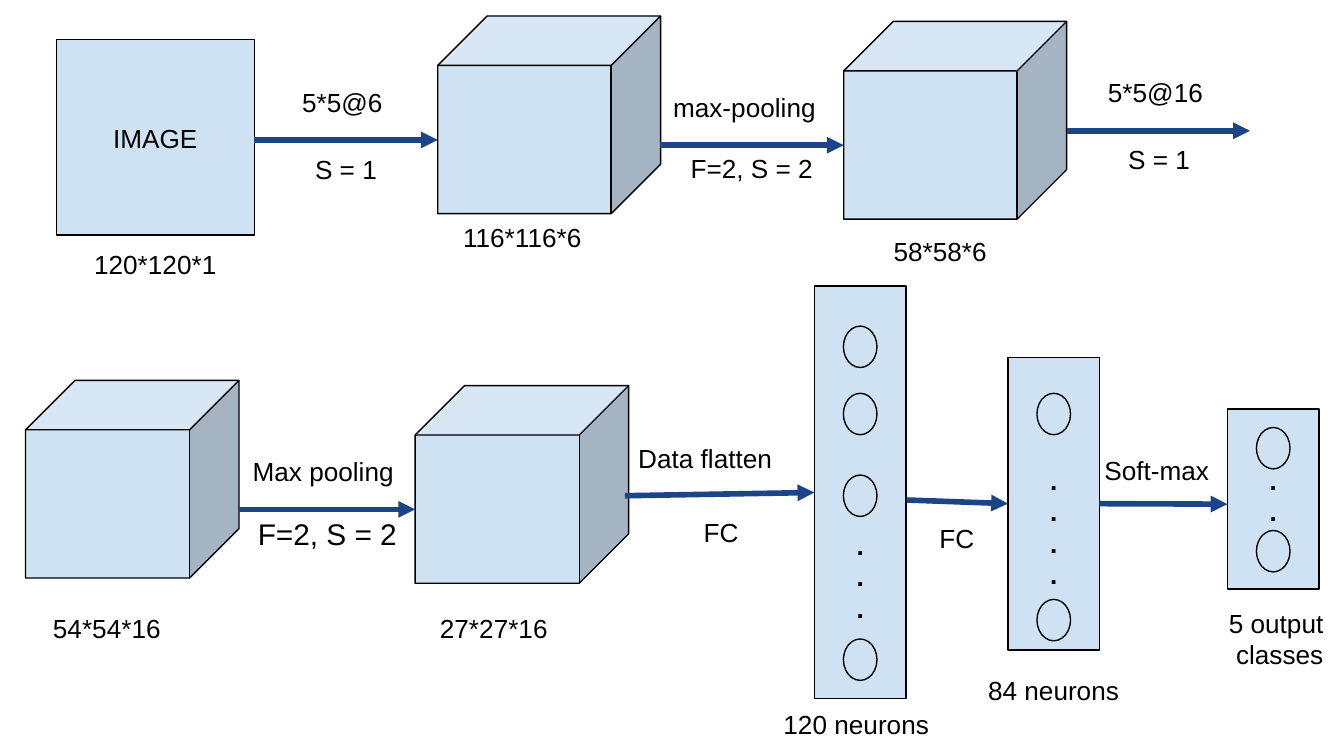
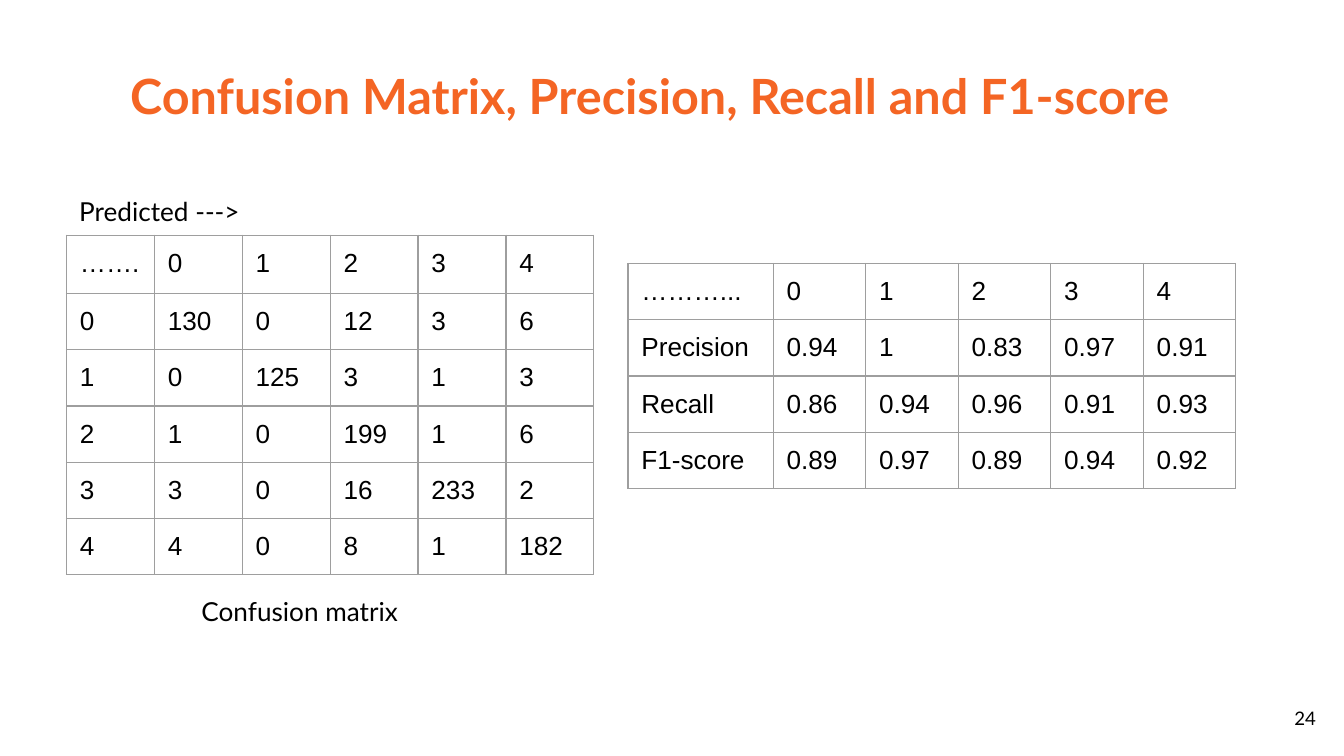
from dataclasses import dataclass

from lxml import etree
from pptx import Presentation
from pptx.dml.color import RGBColor
from pptx.enum import shapes, text
from pptx.oxml.ns import qn
from pptx.util import Pt


@dataclass(frozen=True)
class Theme:
    panel: str = "CFE2F3"
    arrow: str = "1C4587"
    ink: str = "000000"
    title: str = "F46524"
    border: str = "9E9E9E"
    body_font: str = "Arial"
    heading_font: str = "Lato"
    body_size: float = 14
    large_size: float = 16
    title_size: float = 26
    page_size: float = 10
    outline: float = 0.75
    arrow_width: float = 3
    inset: float = 7.2
    leading: float = 1.2


THEME = Theme()
LEFT, CENTER, RIGHT = text.PP_ALIGN.LEFT, text.PP_ALIGN.CENTER, text.PP_ALIGN.RIGHT

# Network: volumes as left, top, width
VOLUME_HEIGHT = 105.9
VOLUMES = [
    (234.5, 8.6, 119.4), (452, 11.5, 119.4),
    (13.7, 203.8, 114.4), (222.4, 206.6, 114.4),
]
INPUT_BOX = (30.2, 21.1, 106.1, 104.9)

# Layers: left, top, height, tops of the neurons, (top, height, count) of the dots
LAYER_WIDTH = 49
NEURON_WIDTH, NEURON_HEIGHT = 18, 22.2
LAYERS = {
    "hidden 120": (436.3, 153.3, 221.1, [174.7, 210.7, 254.5, 342.3], (276.4, 66, 3)),
    "hidden 84": (540, 191.4, 156.9, [210.7, 321.1], (241.6, 70.6, 4)),
    "output": (657.6, 219.2, 96.4, [229, 284.2], (241.4, 53.8, 2)),
}

# Arrows: start, end, layer joined at the start, layer joined at the end
ARROWS = [
    ((136.3, 75), (234.5, 75), None, None),
    ((353.8, 77.8), (452, 77.8), None, None),
    ((571.4, 70.1), (669.6, 70.1), None, None),
    ((128.1, 272.9), (222.4, 272.9), None, None),
    ((334.8, 265.6), (436.3, 263.85), None, "hidden 120"),
    ((486, 267.9), (540, 269.85), None, "hidden 84"),
    ((589, 269.85), (657.6, 270.1), "hidden 84", None),
]

# Labels: text, left, top, width, alignment, size
CAPTION_HEIGHT, OPERATION_HEIGHT = 33, 21
CAPTIONS = [
    ("IMAGE", 30.2, 58.4, 106, CENTER, THEME.body_size),
    ("120*120*1", 30.2, 126, 106, CENTER, THEME.body_size),
    ("116*116*6", 226.8, 111.6, 106, CENTER, THEME.body_size),
    ("58*58*6", 450.7, 118.8, 106, CENTER, THEME.body_size),
    ("54*54*16", 6.5, 321.1, 101.5, CENTER, THEME.body_size),
    ("27*27*16", 213.8, 321.1, 101.5, CENTER, THEME.body_size),
    ("120 neurons", 412.6, 372.2, 94.3, LEFT, THEME.body_size),
    ("84 neurons", 504.7, 354.2, 119.5, CENTER, THEME.body_size),
    ("5 output\n classes", 640.8, 318.2, 85.7, CENTER, THEME.body_size),
]
OPERATIONS = [
    ("5*5@6 ", 136.1, 38.9, 98.6, CENTER, THEME.body_size),
    ("S = 1", 136.1, 74.9, 98.6, CENTER, THEME.body_size),
    ("max-pooling", 353.5, 41.8, 98.6, LEFT, THEME.body_size),
    ("F=2, S = 2", 353.5, 74.2, 98.6, CENTER, THEME.body_size),
    ("5*5@16 ", 571.7, 33.8, 98.6, CENTER, THEME.body_size),
    ("S = 1", 571.7, 69.8, 98.6, CENTER, THEME.body_size),
    ("Max pooling", 128.2, 236.9, 94.3, LEFT, THEME.body_size),
    ("F=2, S = 2", 128.2, 269.3, 94.3, CENTER, THEME.large_size),
    ("Data flatten", 334.8, 229.7, 94.3, LEFT, THEME.body_size),
    ("FC", 339.1, 269.3, 94.3, CENTER, THEME.body_size),
    ("FC", 486.7, 272.9, 51.8, CENTER, THEME.body_size),
    ("Soft-max", 584.6, 236.2, 72, LEFT, THEME.body_size),
]

# Results
TITLE = "Confusion Matrix, Precision, Recall and F1-score"
CLASSES = ["0", "1", "2", "3", "4"]
CONFUSION = [
    ["…….", *CLASSES],
    ["0", "130", "0", "12", "3", "6"],
    ["1", "0", "125", "3", "1", "3"],
    ["2", "1", "0", "199", "1", "6"],
    ["3", "3", "0", "16", "233", "2"],
    ["4", "4", "0", "8", "1", "182"],
]
SCORES = [
    ["………...", *CLASSES],
    ["Precision", "0.94", "1", "0.83", "0.97", "0.91"],
    ["Recall", "0.86", "0.94", "0.96", "0.91", "0.93"],
    ["F1-score", "0.89", "0.97", "0.89", "0.94", "0.92"],
]
# Tables: rows, left, top, column widths, height of the first row
ROW_HEIGHT = 30.1
TABLES = [
    (CONFUSION, 35.6, 126, [47.1] * 6, 31.2),
    (SCORES, 336.4, 141.1, [77.8] + [49.6] * 5, ROW_HEIGHT),
]


def points(*lengths):
    return [Pt(length) for length in lengths]


def set_format(target, **values):
    for name, value in values.items():
        setattr(target, name, value)


def set_font(font, size, name=THEME.body_font, bold=False, color=THEME.ink):
    set_format(font, size=Pt(size), name=name, bold=bold)
    font.color.rgb = RGBColor.from_string(color)


def write(frame, content, size, align=LEFT, anchor=text.MSO_ANCHOR.TOP, **font):
    margins = {f"margin_{side}": Pt(THEME.inset) for side in ("left", "right", "top", "bottom")}
    set_format(frame, word_wrap=True, auto_size=text.MSO_AUTO_SIZE.NONE,
               vertical_anchor=anchor, **margins)
    frame.text = content
    for paragraph in frame.paragraphs:
        set_format(paragraph, alignment=align, line_spacing=Pt(size * THEME.leading))
        for run in paragraph.runs:
            set_font(run.font, size, **font)


def add_label(slide, content, left, top, width, height, **style):
    box = slide.shapes.add_textbox(*points(left, top, width, height))
    write(box.text_frame, content, **style)


def add_panel(slide, kind, *bounds):
    shape = slide.shapes.add_shape(kind, *points(*bounds))
    shape.shadow.inherit = False
    shape.fill.solid()
    shape.fill.fore_color.rgb = RGBColor.from_string(THEME.panel)
    shape.line.color.rgb = RGBColor.from_string(THEME.ink)
    shape.line.width = Pt(THEME.outline)
    return shape


def add_layer(slide, left, top, height, neuron_tops, dots):
    layer = add_panel(slide, shapes.MSO_SHAPE.RECTANGLE, left, top, LAYER_WIDTH, height)
    neuron_left = left + (LAYER_WIDTH - NEURON_WIDTH) / 2
    for neuron_top in neuron_tops:
        add_panel(slide, shapes.MSO_SHAPE.OVAL,
                  neuron_left, neuron_top, NEURON_WIDTH, NEURON_HEIGHT)
    dots_top, dots_height, count = dots
    add_label(slide, "\n".join("." * count), left, dots_top, LAYER_WIDTH, dots_height,
              size=THEME.body_size, align=CENTER, bold=True)
    return layer


def add_arrow(slide, start, end, source, target):
    arrow = slide.shapes.add_connector(shapes.MSO_CONNECTOR.STRAIGHT, *points(*start, *end))
    if source is not None:
        arrow.begin_connect(source, 3)
    if target is not None:
        arrow.end_connect(target, 1)
    arrow.line.color.rgb = RGBColor.from_string(THEME.arrow)
    arrow.line.width = Pt(THEME.arrow_width)
    properties = arrow._element.spPr
    etree.SubElement(properties.find(qn("a:ln")), qn("a:tailEnd"), type="triangle")
    etree.SubElement(properties, qn("a:effectLst"))


def set_borders(cell):
    properties = cell._tc.get_or_add_tcPr()
    for position, side in enumerate(("lnL", "lnR", "lnT", "lnB")):
        line = etree.Element(qn(f"a:{side}"), w=str(Pt(THEME.outline)))
        fill = etree.SubElement(line, qn("a:solidFill"))
        etree.SubElement(fill, qn("a:srgbClr"), val=THEME.border)
        properties.insert(position, line)


def add_grid(slide, rows, left, top, widths, first_height):
    heights = [first_height] + [ROW_HEIGHT] * (len(rows) - 1)
    frame = slide.shapes.add_table(len(rows), len(widths),
                                   *points(left, top, sum(widths), sum(heights)))
    table = frame.table
    set_format(table, first_row=False, horz_banding=False)
    for column, width in zip(table.columns, widths):
        column.width = Pt(width)
    for row, height, values in zip(table.rows, heights, rows):
        row.height = Pt(height)
        for cell, value in zip(row.cells, values):
            cell.text = value
            set_format(cell, **{f"margin_{side}": Pt(THEME.inset)
                                for side in ("left", "right", "top", "bottom")})
            cell.fill.background()
            set_borders(cell)
            set_font(cell.text_frame.paragraphs[0].runs[0].font, THEME.body_size)


def build_network(presentation):
    slide = presentation.slides.add_slide(presentation.slide_layouts[6])
    add_panel(slide, shapes.MSO_SHAPE.RECTANGLE, *INPUT_BOX)
    for left, top, width in VOLUMES:
        add_panel(slide, shapes.MSO_SHAPE.CUBE, left, top, width, VOLUME_HEIGHT)
    layers = {name: add_layer(slide, *layer) for name, layer in LAYERS.items()}
    for start, end, source, target in ARROWS:
        add_arrow(slide, start, end, layers.get(source), layers.get(target))
    for labels, height in ((CAPTIONS, CAPTION_HEIGHT), (OPERATIONS, OPERATION_HEIGHT)):
        for content, left, top, width, align, size in labels:
            add_label(slide, content, left, top, width, height, size=size, align=align)


def build_results(presentation):
    slide = presentation.slides.add_slide(presentation.slide_layouts[5])
    title = slide.shapes.title
    set_format(title, **dict(zip(("left", "top", "width", "height"),
                                 points(21.6, 28.1, 653.8, 56.2))))
    write(title.text_frame, TITLE, THEME.title_size, CENTER,
          name=THEME.heading_font, bold=True, color=THEME.title)
    for table in TABLES:
        add_grid(slide, *table)
    heading = {"size": THEME.body_size, "name": THEME.heading_font}
    add_label(slide, "Predicted --->", 35.3, 97.2, 111.6, 15.1, **heading)
    add_label(slide, "Confusion matrix", 96.5, 311.8, 128.2, 23, align=CENTER, **heading)
    add_label(slide, "24", 668.9, 369.4, 43.2, 31, size=THEME.page_size, align=RIGHT,
              anchor=text.MSO_ANCHOR.MIDDLE, name=THEME.heading_font)


def main():
    presentation = Presentation()
    set_format(presentation, slide_width=Pt(720), slide_height=Pt(405))
    build_network(presentation)
    build_results(presentation)
    presentation.save("out.pptx")


if __name__ == "__main__":
    main()
